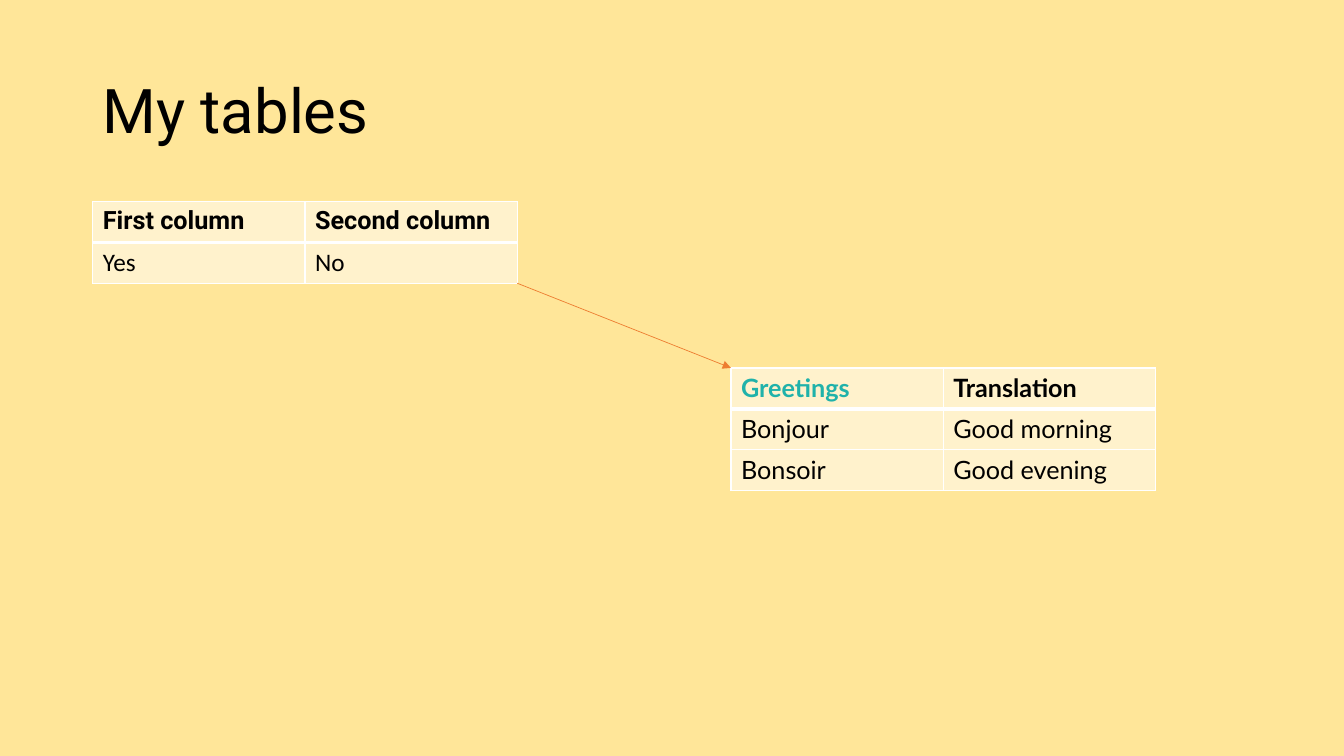
from lxml import etree
from pptx import Presentation
from pptx.dml.color import RGBColor
from pptx.enum import shapes, text
from pptx.oxml import ns
from pptx.util import Inches, Pt

BLACK, WHITE, TEAL = "000000", "FFFFFF", "20B2AA"
PAGE_FILL, CELL_FILL, ARROW = "FFE699", "FFF2CC", "ED7D31"
COLUMN_WIDTH, ROW_HEIGHT = 2.105, 0.405


def rgb(value):
    return RGBColor.from_string(value)


def add_span(para, words, font, size, color=BLACK, bold=False):
    span = para.add_run()
    span.text = words
    span.font.name = font
    span.font.size = Pt(size)
    span.font.bold = bold
    span.font.color.rgb = rgb(color)


def add_title(page, words):
    box = page.shapes.add_textbox(Inches(0.92), Inches(0.4), Inches(11.5), Inches(1.45))
    frame = box.text_frame
    frame.word_wrap = True
    frame.vertical_anchor = text.MSO_ANCHOR.MIDDLE
    frame.paragraphs[0].line_spacing = 0.9
    add_span(frame.paragraphs[0], words, "Roboto", 44)


def set_borders(cell, top, bottom):
    properties = cell._tc.get_or_add_tcPr()
    for side, width in (("L", 1), ("R", 1), ("T", top), ("B", bottom)):
        line = etree.SubElement(properties, ns.qn(f"a:ln{side}"), w=str(Pt(width)))
        fill = etree.SubElement(line, ns.qn("a:solidFill"))
        etree.SubElement(fill, ns.qn("a:srgbClr"), val=WHITE)


def add_table(page, left, top, rows, header_font, body_font, accents=()):
    """Draw a table; accents maps header words to their colours."""
    columns = len(rows[0])
    frame = page.shapes.add_table(
        len(rows), columns, Inches(left), Inches(top),
        Inches(COLUMN_WIDTH * columns), Inches(ROW_HEIGHT * len(rows)))
    table = frame.table
    table.horz_banding = False
    colors = dict(accents)
    for column in table.columns:
        column.width = Inches(COLUMN_WIDTH)
    for r, row in enumerate(rows):
        table.rows[r].height = Inches(ROW_HEIGHT)
        header = r == 0
        for c, words in enumerate(row):
            cell = table.cell(r, c)
            # The edge between header and body is thicker
            set_borders(cell, top=3 if r == 1 else 1, bottom=3 if header else 1)
            cell.fill.solid()
            cell.fill.fore_color.rgb = rgb(CELL_FILL)
            add_span(cell.text_frame.paragraphs[0], words,
                     header_font if header else body_font, 18,
                     colors.get(words, BLACK), header)
    return frame


def add_arrow(page, source, target):
    """Join the lower right corner of source to the upper left of target."""
    arrow = page.shapes.add_connector(
        shapes.MSO_CONNECTOR.STRAIGHT,
        source.left + source.width, source.top + source.height,
        target.left, target.top)
    arrow.line.color.rgb = rgb(ARROW)
    arrow.line.width = Pt(0.5)
    etree.SubElement(arrow.line._get_or_add_ln(), ns.qn("a:tailEnd"), type="triangle")
    etree.SubElement(arrow._element.spPr, ns.qn("a:effectLst"))


def main():
    deck = Presentation()
    deck.slide_width, deck.slide_height = Inches(13.33), Inches(7.5)
    page = deck.slides.add_slide(deck.slide_layouts[6])
    page.background.fill.solid()
    page.background.fill.fore_color.rgb = rgb(PAGE_FILL)

    add_title(page, "My tables")

    # Tables
    answers = add_table(
        page, 0.92, 2,
        [("First column", "Second column"), ("Yes", "No")],
        "Roboto", "Calibri")
    greetings = add_table(
        page, 7.25, 3.65,
        [("Greetings", "Translation"),
         ("Bonjour", "Good morning"),
         ("Bonsoir", "Good evening")],
        "Lato", "Lato", {"Greetings": TEAL})

    # Link between the tables
    add_arrow(page, answers, greetings)

    deck.save("out.pptx")


if __name__ == "__main__":
    main()
